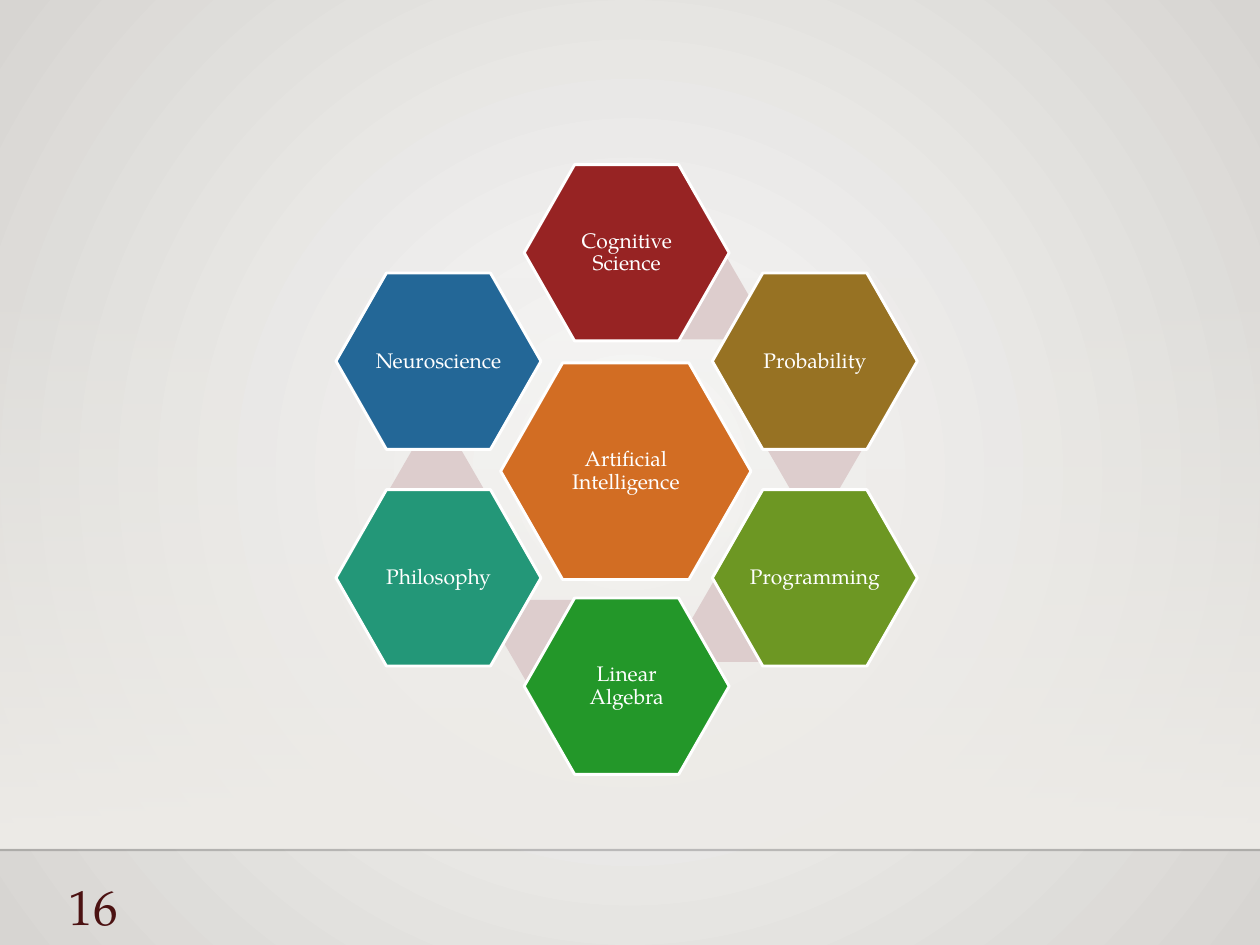
from dataclasses import dataclass
from typing import Optional

from lxml.etree import SubElement
from pptx import Presentation
from pptx.dml.color import RGBColor
from pptx.dml.fill import FillFormat
from pptx.enum.shapes import MSO_CONNECTOR, MSO_SHAPE
from pptx.enum.text import MSO_ANCHOR, PP_ALIGN
from pptx.oxml.ns import qn
from pptx.shapes.autoshape import Shape
from pptx.slide import Slide
from pptx.text.text import TextFrame
from pptx.util import Emu, Pt

EMU_PER_PX = 4572  # 200 px to the inch
PAGE_WIDTH, PAGE_HEIGHT = 1500, 1125
FLOOR_TOP = 1012
FONT = "TeX Gyre Pagella"

COLORS = {
    "white": "FFFFFF",
    "glow": "FAFAF9",
    "edge": "D7D5D2",
    "haze": "EDEBE7",
    "rule": "000001",
    "number": "4C1212",
    "link": "DDCDCD",
    "orange": "D26D23",
    "red": "972323",
    "ochre": "977223",
    "olive": "6D9723",
    "green": "239729",
    "teal": "239778",
    "blue": "236797",
}

# The ring of fields sits on a grid of columns and half-height rows.
RING_LEFT, RING_TOP = 400, 196
COLUMN_STEP, ROW_STEP = 224, 129
FIELD_WIDTH, FIELD_HEIGHT = 244, 210
LINK_WIDTH, LINK_HEIGHT = 112, 96


@dataclass(frozen=True)
class Area:
    left: int
    top: int
    width: int
    height: int

    def emu(self) -> tuple[Emu, Emu, Emu, Emu]:
        return px(self.left), px(self.top), px(self.width), px(self.height)


@dataclass(frozen=True)
class Field:
    label: str
    color: str
    column: int
    row: int
    link: Optional[tuple[int, int]] = None

    @property
    def area(self) -> Area:
        return Area(RING_LEFT + self.column * COLUMN_STEP,
                    RING_TOP + self.row * ROW_STEP, FIELD_WIDTH, FIELD_HEIGHT)


FIELDS = [
    Field("Cognitive Science", "red", 1, 0, (782, 308)),
    Field("Probability", "ochre", 2, 1, (914, 488)),
    Field("Programming", "olive", 2, 3, (822, 692)),
    Field("Linear Algebra", "green", 1, 4, (598, 714)),
    Field("Philosophy", "teal", 0, 3, (464, 534)),
    Field("Neuroscience", "blue", 0, 1),
]


def px(length: int) -> Emu:
    return Emu(length * EMU_PER_PX)


def rgb(name: str) -> RGBColor:
    return RGBColor.from_string(COLORS[name])


def set_alpha(parent, percent: int) -> None:
    """Set the opacity of the first colour found inside an element."""
    color = next(parent.iter(qn("a:srgbClr")))
    SubElement(color, qn("a:alpha"), val=str(percent * 1000))


def fill_gradient(fill: FillFormat, first: str, last: str) -> None:
    fill.gradient()
    fill.gradient_angle = 270
    for stop, name, position in zip(fill.gradient_stops, (first, last), (0, 1)):
        stop.color.rgb = rgb(name)
        stop.position = position


def write_text(frame: TextFrame, text: str, size: int, color: str, align: PP_ALIGN) -> None:
    frame.word_wrap = True
    frame.text = text
    para = frame.paragraphs[0]
    para.alignment = align
    for span in para.runs:
        span.font.name = FONT
        span.font.size = Pt(size)
        span.font.color.rgb = rgb(color)


def add_hexagon(page: Slide, area: Area, color: str, adjustment: float) -> Shape:
    hexagon = page.shapes.add_shape(MSO_SHAPE.HEXAGON, *area.emu())
    hexagon.shadow.inherit = False
    hexagon.adjustments[0] = adjustment
    hexagon.fill.solid()
    hexagon.fill.fore_color.rgb = rgb(color)
    hexagon.line.fill.background()
    return hexagon


def add_labelled_hexagon(page: Slide, area: Area, color: str, label: str) -> None:
    hexagon = add_hexagon(page, area, color, 0.286)
    hexagon.line.color.rgb = rgb("white")
    hexagon.line.width = Pt(1.25)
    frame = hexagon.text_frame
    frame.margin_left = frame.margin_right = px(2)
    frame.margin_top = frame.margin_bottom = px(2)
    frame.vertical_anchor = MSO_ANCHOR.MIDDLE
    write_text(frame, label, 9, "white", PP_ALIGN.CENTER)
    frame.paragraphs[0].line_spacing = 0.9


def paint_background(page: Slide) -> None:
    fill = page.background.fill
    fill_gradient(fill, "glow", "edge")
    linear = next(page.element.iter(qn("a:lin")))
    gradient = linear.getparent()
    gradient.remove(linear)
    circle = SubElement(gradient, qn("a:path"), path="circle")
    SubElement(circle, qn("a:fillToRect"), l="50000", t="50000", r="50000", b="50000")


def add_floor(page: Slide) -> None:
    """Add the haze that thickens downwards and the rule below it."""
    haze = page.shapes.add_shape(MSO_SHAPE.RECTANGLE, *Area(0, 330, PAGE_WIDTH, 680).emu())
    haze.shadow.inherit = False
    haze.line.fill.background()
    fill_gradient(haze.fill, "haze", "haze")
    set_alpha(haze.element.spPr, 0)

    rule = page.shapes.add_connector(
        MSO_CONNECTOR.STRAIGHT, px(0), px(FLOOR_TOP), px(PAGE_WIDTH), px(FLOOR_TOP))
    rule.line.color.rgb = rgb("rule")
    rule.line.width = Pt(1)
    set_alpha(rule.line._ln, 20)
    SubElement(rule.element.spPr, qn("a:effectLst"))


def add_page_number(page: Slide, number: str) -> None:
    box = page.shapes.add_textbox(*Area(30, 1034, 130, 82).emu())
    write_text(box.text_frame, number, 21, "number", PP_ALIGN.RIGHT)


def add_field_ring(page: Slide) -> None:
    add_labelled_hexagon(page, Area(596, 432, 298, 258), "orange", "Artificial Intelligence")
    for field in FIELDS:
        if field.link:
            add_hexagon(page, Area(*field.link, LINK_WIDTH, LINK_HEIGHT), "link", 0.289)
        add_labelled_hexagon(page, field.area, field.color, field.label)


def main() -> None:
    deck = Presentation()
    deck.slide_width, deck.slide_height = px(PAGE_WIDTH), px(PAGE_HEIGHT)
    page = deck.slides.add_slide(deck.slide_layouts[6])
    paint_background(page)
    add_floor(page)
    add_page_number(page, "16")
    add_field_ring(page)
    deck.save("out.pptx")


if __name__ == "__main__":
    main()
